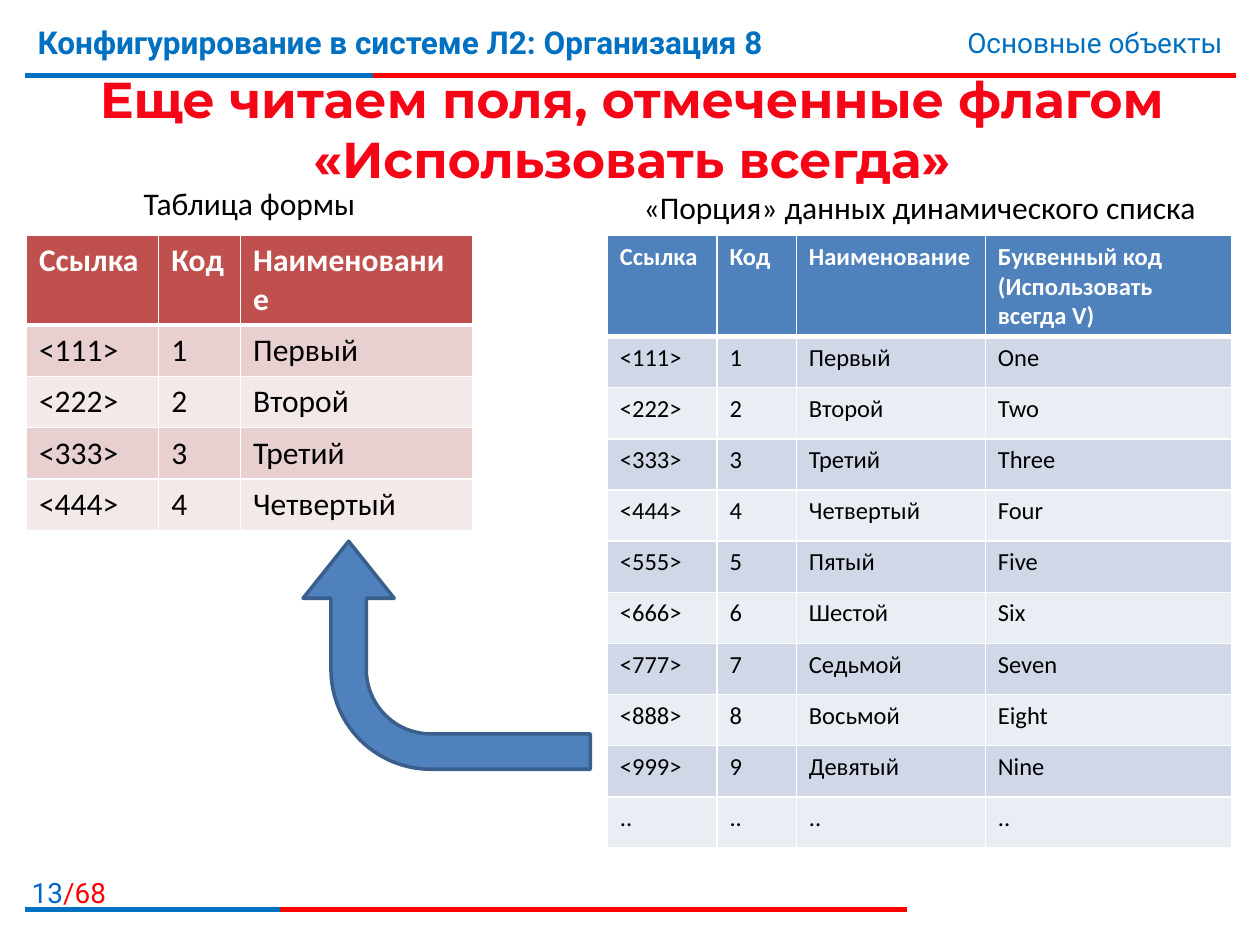
"""Build the slide on fields read by a dynamic list when flagged for constant use."""
from lxml import etree
from pptx import Presentation
from pptx import util as u
from pptx.dml import color as c
from pptx.enum import shapes, text
from pptx.oxml import ns


def paint(target, value):
    target.solid()
    target.fore_color.rgb = c.RGBColor.from_string(value)


def write(frame, spans, align, **style):
    frame.word_wrap = True
    para = frame.paragraphs[0]
    para.alignment = align
    for words, tint in spans:
        span = para.add_run()
        span.text = words
        for name, value in style.items():
            setattr(span.font, name, value)
        paint(span.font.fill, tint)


LEFT, CENTER, RIGHT = text.PP_ALIGN.LEFT, text.PP_ALIGN.CENTER, text.PP_ALIGN.RIGHT
RED, BLUE, BLACK, WHITE = "FF0000", "0070C0", "000000", "FFFFFF"

deck = Presentation()
deck.slide_width, deck.slide_height = u.Inches(10), u.Inches(7.5)
page = deck.slides.add_slide(deck.slide_layouts[5])

for y, red_end, blue_end in [(0.6, 9.81, 2.96), (7.22, 7.2, 2.22)]:
    for end, tint in [(red_end, RED), (blue_end, BLUE)]:
        rule = page.shapes.add_connector(
            shapes.MSO_CONNECTOR.STRAIGHT,
            u.Inches(0.2), u.Inches(y), u.Inches(end), u.Inches(y))
        rule.line.width = u.Pt(3)
        paint(rule.line.fill, tint)
        etree.SubElement(rule._element.spPr, ns.qn("a:effectLst"))

title = page.shapes.title
title.left, title.top = u.Inches(0.21), u.Inches(0.63)
title.width, title.height = u.Inches(9.61), u.Inches(0.78)
title.text_frame.auto_size = text.MSO_AUTO_SIZE.NONE
title.text_frame.vertical_anchor = text.MSO_ANCHOR.MIDDLE
write(title.text_frame,
      [("Еще читаем поля, отмеченные флагом «Использовать всегда»", "F50516")],
      CENTER, size=u.Pt(28.8), name="Montserrat", bold=True)

labels = [
    ((0, 6.9, 0.94, 0.32), [("13", "0066CC"), ("/68", RED)], RIGHT, 16, "Roboto", False),
    ((0.2, 0.13, 7.4, 0.62), [("Конфигурирование в системе Л2: Организация 8", BLUE)],
     LEFT, 18, "Roboto", True),
    ((5.94, 0.15, 3.86, 0.37), [("Основные объекты", BLUE)], RIGHT, 16, "Roboto", False),
    ((0.21, 1.41, 3.54, 0.4), [("Таблица формы", BLACK)], CENTER, 18, "Calibri", False),
    ((4.82, 1.44, 4.96, 0.4), [("«Порция» данных динамического списка", BLACK)],
     CENTER, 18, "Calibri", False),
]
for place, spans, align, size, font, bold in labels:
    box = page.shapes.add_textbox(*map(u.Inches, place))
    write(box.text_frame, spans, align, size=u.Pt(size), name=font, bold=bold)

headings = ["Ссылка", "Код", "Наименование", "Буквенный код (Использовать всегда V)"]
ordinals = ["Первый", "Второй", "Третий", "Четвертый", "Пятый",
            "Шестой", "Седьмой", "Восьмой", "Девятый"]
numerals = ["One", "Two", "Three", "Four", "Five", "Six", "Seven", "Eight", "Nine"]
records = [[f"<{number}{number}{number}>", str(number), ordinal, numeral]
           for number, (ordinal, numeral) in enumerate(zip(ordinals, numerals), 1)]

tables = [
    (4.82, [0.87, 0.63, 1.5, 1.96], 0.8, 4.06, 14, ("4F81BD", "D0D8E8", "E9EDF4"),
     [headings, *records, [".."] * 4]),
    (0.21, [1.05, 0.65, 1.84], 0.71, 1.63, 18, ("C0504D", "E8D0D0", "F4E9E9"),
     [headings, *records[:4]]),
]
for left, widths, head_height, body_height, size, fills, rows in tables:
    table = page.shapes.add_table(
        len(rows), len(widths), u.Inches(left), u.Inches(1.87),
        u.Inches(sum(widths)), u.Inches(head_height + body_height)).table
    for column, width in zip(table.columns, widths):
        column.width = u.Inches(width)
    for r, row in enumerate(rows):
        head = r == 0
        table.rows[r].height = (u.Inches(head_height) if head
                                else u.Inches(body_height) // (len(rows) - 1))
        for k in range(len(widths)):
            cell = table.cell(r, k)
            properties = cell._tc.get_or_add_tcPr()
            for side in "LRTB":
                thick = (head and side == "B") or (r == 1 and side == "T")
                border = etree.SubElement(properties, ns.qn(f"a:ln{side}"),
                                          w=str(u.Pt(3 if thick else 1)))
                solid = etree.SubElement(border, ns.qn("a:solidFill"))
                etree.SubElement(solid, ns.qn("a:srgbClr"), val=WHITE)
            paint(cell.fill, fills[0] if head else fills[2 - r % 2])
            write(cell.text_frame, [(row[k], WHITE if head else BLACK)], LEFT,
                  size=u.Pt(size), name="Calibri", bold=head)

arrow = page.shapes.add_shape(shapes.MSO_SHAPE.BENT_ARROW, u.Inches(2.64),
                              u.Inches(4.06), u.Inches(1.81), u.Inches(2.28))
arrow.rotation = 270
arrow.shadow.inherit = False
for index, value in enumerate([0.155, 0.2, 0.25, 0.438]):
    arrow.adjustments[index] = value
paint(arrow.fill, "4F81BD")
paint(arrow.line.fill, "3A5F8C")
arrow.line.width = u.Pt(2)

deck.save("out.pptx")
